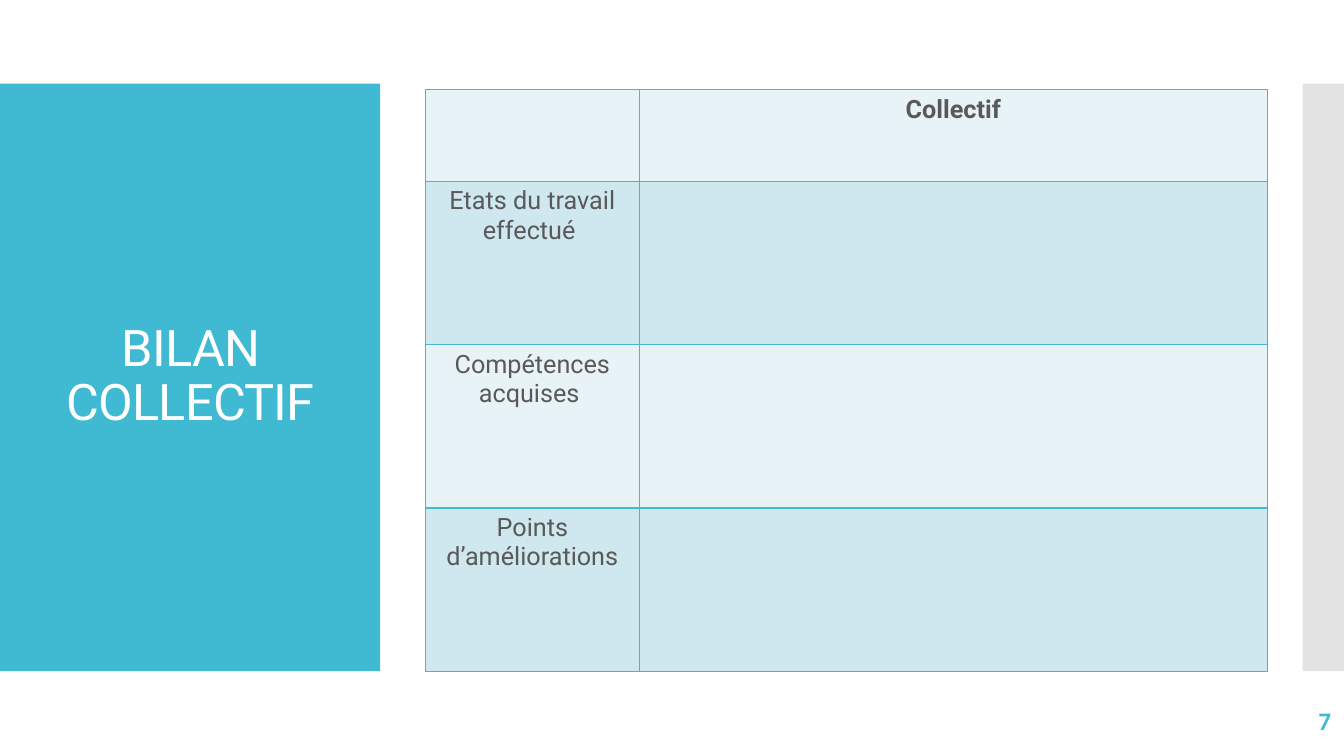
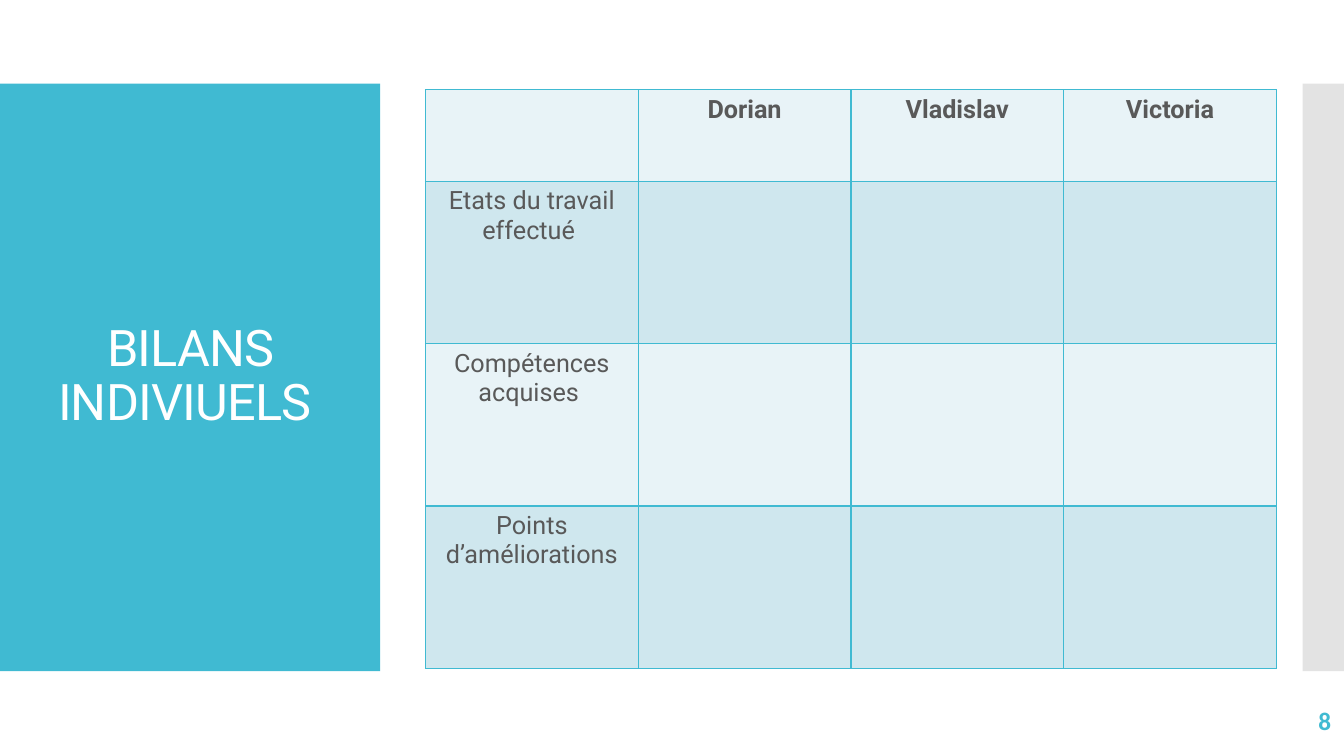
from lxml.etree import SubElement
from pptx import Presentation
from pptx.dml.color import RGBColor
from pptx.enum.shapes import MSO_SHAPE
from pptx.enum.text import MSO_ANCHOR, PP_ALIGN
from pptx.oxml import parse_xml
from pptx.oxml.ns import nsdecls, qn
from pptx.util import Inches, Pt

TEAL = RGBColor(0x40, 0xBA, 0xD2)
SILVER = RGBColor(0xC8, 0xC8, 0xC8)
WHITE = RGBColor(0xFF, 0xFF, 0xFF)
GREY = RGBColor(0x59, 0x59, 0x59)
PALE = RGBColor(0xE8, 0xF3, 0xF7)
LIGHT = RGBColor(0xCF, 0xE7, 0xEE)

TITLE = {"name": "Roboto", "size": Pt(36), "color": WHITE}
NUMBER = {"name": "Calibri", "size": Pt(18), "bold": True, "color": TEAL}
HEADING = {"name": "Roboto", "size": Pt(18), "bold": True, "color": GREY}
LABEL = {**HEADING, "bold": False}

BANDS = [(0, 3.77, TEAL, 100), (12.92, 0.42, SILVER, 50)]
ROW_LABELS = ["Etats du travail effectué ", "Compétences acquises ", "Points d’améliorations"]
PAGES = [
    {"title": "BILAN COLLECTIF", "number": "7", "headings": ["Collectif"],
     "columns": [2.12, 6.23], "row": 1.62},
    {"title": "BILANS INDIVIUELS ", "number": "8", "headings": ["Dorian", "Vladislav", "Victoria"],
     "columns": [2.11] * 4, "row": 1.61},
]


def write(frame, text, style, align=PP_ALIGN.CENTER):
    para = frame.paragraphs[0]
    para.alignment = align
    span = para.add_run()
    span.text = text
    for key, value in style.items():
        if key == "color":
            span.font.color.rgb = value
        else:
            setattr(span.font, key, value)
    return para


def add_text(page, area, text, style, align):
    frame = page.shapes.add_textbox(*map(Inches, area)).text_frame
    frame.word_wrap = True
    frame.vertical_anchor = MSO_ANCHOR.MIDDLE
    return write(frame, text, style, align)


deck = Presentation()
deck.slide_width, deck.slide_height = Inches(13.33), Inches(7.5)

for content in PAGES:
    page = deck.slides.add_slide(deck.slide_layouts[6])

    for left, width, color, opacity in BANDS:
        band = page.shapes.add_shape(
            MSO_SHAPE.RECTANGLE, Inches(left), Inches(0.83), Inches(width), Inches(5.83))
        band.shadow.inherit = False
        band.line.fill.background()
        band.fill.solid()
        band.fill.fore_color.rgb = color
        if opacity < 100:
            tint = band.fill._xPr.find(qn("a:solidFill"))[0]
            SubElement(tint, qn("a:alpha"), val=str(opacity * 1000))

    title = add_text(page, (0.28, 1.23, 3.22, 5.03), content["title"], TITLE, PP_ALIGN.CENTER)
    title.line_spacing = 0.9
    title.runs[0].font._element.set("spc", "-60")
    add_text(page, (11.63, 6.95, 1.67, 0.4), content["number"], NUMBER, PP_ALIGN.RIGHT)

    columns = content["columns"]
    rows = [0.91] + [content["row"]] * len(ROW_LABELS)
    table = page.shapes.add_table(
        len(rows), len(columns), Inches(4.22), Inches(0.89),
        Inches(sum(columns)), Inches(sum(rows))).table
    table.first_row = table.horz_banding = False
    for column, width in zip(table.columns, columns):
        column.width = Inches(width)
    for row, height in zip(table.rows, rows):
        row.height = Inches(height)

    for index, row in enumerate(table.rows):
        for cell in row.cells:
            cell.fill.solid()
            cell.fill.fore_color.rgb = LIGHT if index % 2 else PALE
            properties = cell._tc.get_or_add_tcPr()
            for position, side in enumerate("LRTB"):
                properties.insert(position, parse_xml(
                    f'<a:ln{side} {nsdecls("a")} w="12700"><a:solidFill>'
                    f'<a:srgbClr val="{TEAL}"/></a:solidFill></a:ln{side}>'))

    for index, heading in enumerate(content["headings"], 1):
        write(table.cell(0, index).text_frame, heading, HEADING)
    for index, label in enumerate(ROW_LABELS, 1):
        write(table.cell(index, 0).text_frame, label, LABEL)

deck.save("out.pptx")
